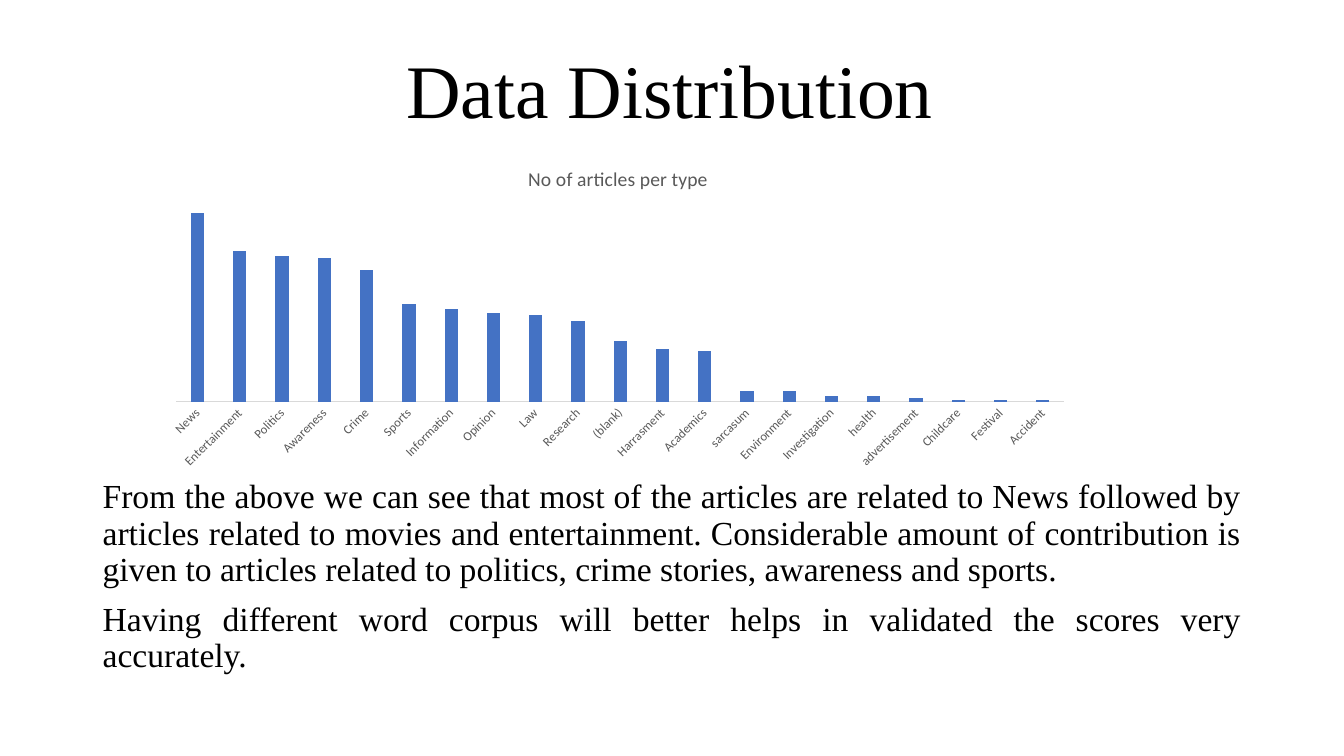
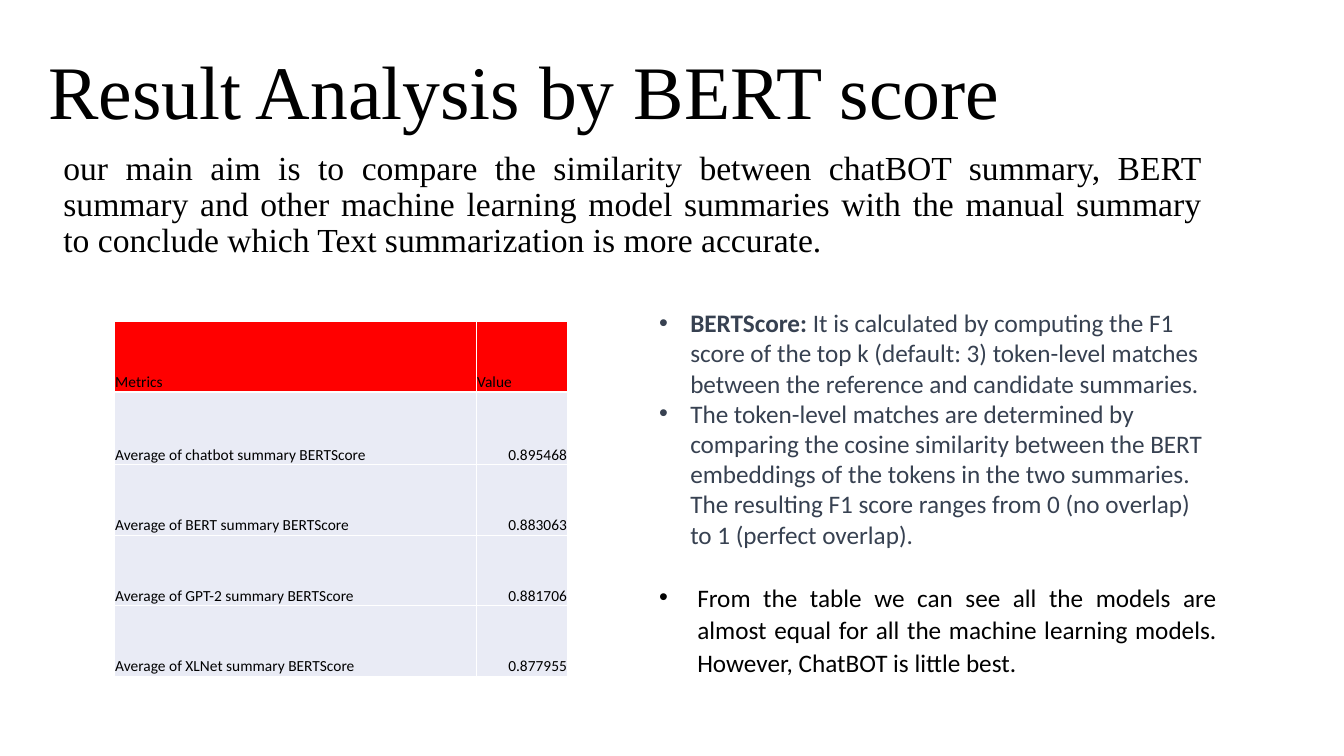
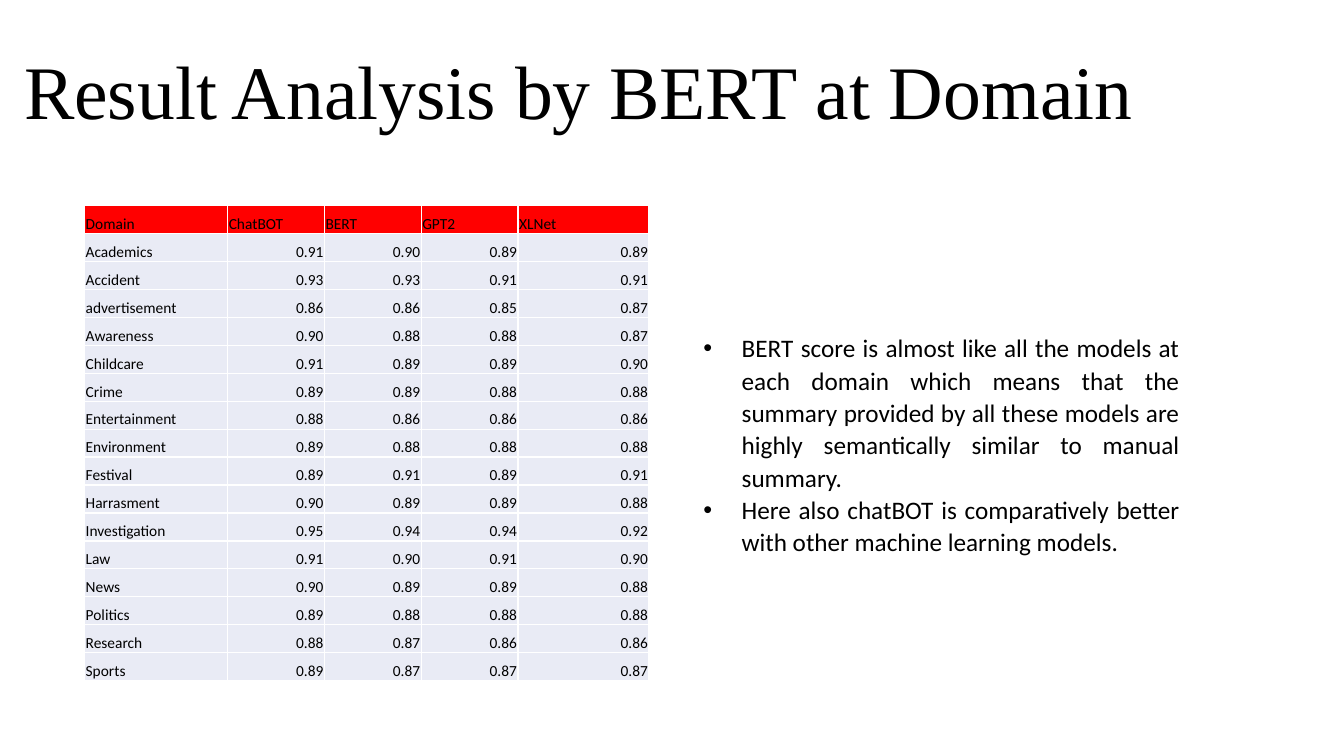
import lxml.etree
import pptx
import pptx.chart.data
import pptx.dml.color
import pptx.enum.chart
import pptx.enum.text
import pptx.oxml.ns
import pptx.util

WIDTH, HEIGHT = pptx.util.Inches(13.333), pptx.util.Inches(7.5)
ALIGN = pptx.enum.text.PP_ALIGN
qn = pptx.oxml.ns.qn

BLACK, SLATE, GREY, PALE_GREY = "000000", "374151", "595959", "D9D9D9"
RED, PALE_BLUE, BLUE, WHITE = "FF0000", "E9EBF5", "4472C4", "FFFFFF"

TITLE_FONT = {"name": "Times New Roman", "size": pptx.util.Pt(54)}
BODY_FONT = {"name": "Times New Roman", "size": pptx.util.Pt(24)}
LIST_FONT = {"name": "Calibri", "size": pptx.util.Pt(18)}
CELL_FONT = {"name": "Calibri", "size": pptx.util.Pt(11)}
CHART_FONT = {"name": "Calibri", "size": pptx.util.Pt(14), "bold": False}
AXIS_FONT = {"name": "Calibri", "size": pptx.util.Pt(9)}

TITLE_PARA = {"line_spacing": 0.9, "space_before": pptx.util.Pt(10)}
BODY_PARA = {**TITLE_PARA, "alignment": ALIGN.JUSTIFY}
LIST_PARA = {"alignment": ALIGN.JUSTIFY, "line_spacing": 1.07}

ARTICLES = {
    "News": 100, "Entertainment": 80, "Politics": 77, "Awareness": 76,
    "Crime": 70, "Sports": 52, "Information": 49, "Opinion": 47, "Law": 46,
    "Research": 43, "(blank)": 32, "Harrasment": 28, "Academics": 27,
    "sarcasum": 6, "Environment": 6, "Investigation": 3, "health": 3,
    "advertisement": 2, "Childcare": 1, "Festival": 1, "Accident": 1,
}
AVERAGES = [
    ("Metrics", "Value"),
    ("Average of chatbot summary BERTScore", "0.895468"),
    ("Average of BERT summary BERTScore", "0.883063"),
    ("Average of GPT-2 summary BERTScore", "0.881706"),
    ("Average of XLNet summary BERTScore", "0.877955"),
]
DOMAINS = [
    ("Domain", "ChatBOT", "BERT", "GPT2", "XLNet"),
    ("Academics", "0.91", "0.90", "0.89", "0.89"),
    ("Accident", "0.93", "0.93", "0.91", "0.91"),
    ("advertisement", "0.86", "0.86", "0.85", "0.87"),
    ("Awareness", "0.90", "0.88", "0.88", "0.87"),
    ("Childcare", "0.91", "0.89", "0.89", "0.90"),
    ("Crime", "0.89", "0.89", "0.88", "0.88"),
    ("Entertainment", "0.88", "0.86", "0.86", "0.86"),
    ("Environment", "0.89", "0.88", "0.88", "0.88"),
    ("Festival", "0.89", "0.91", "0.89", "0.91"),
    ("Harrasment", "0.90", "0.89", "0.89", "0.88"),
    ("Investigation", "0.95", "0.94", "0.94", "0.92"),
    ("Law", "0.91", "0.90", "0.91", "0.90"),
    ("News", "0.90", "0.89", "0.89", "0.88"),
    ("Politics", "0.89", "0.88", "0.88", "0.88"),
    ("Research", "0.88", "0.87", "0.86", "0.86"),
    ("Sports", "0.89", "0.87", "0.87", "0.87"),
]


def across(percent):
    return round(WIDTH * percent / 100)


def down(percent):
    return round(HEIGHT * percent / 100)


def place(left, top, width, height):
    """Turn percentages of the slide's size into lengths."""
    return across(left), down(top), across(width), down(height)


def color(value):
    return pptx.dml.color.RGBColor.from_string(value)


def apply_format(target, values):
    for name, value in values.items():
        setattr(target, name, value)


def style_font(font, values, shade=BLACK):
    apply_format(font, values)
    font.color.rgb = color(shade)


def add_span(para, text, font, shade=BLACK, bold=False):
    span = para.add_run()
    span.text = text
    style_font(span.font, {**font, "bold": bold}, shade)


def add_box(page, area):
    box = page.shapes.add_textbox(*place(*area))
    box.text_frame.word_wrap = True
    return box.text_frame


def add_para(frame, values):
    """Use the frame's first paragraph while it is empty, then add more."""
    first = frame.paragraphs[0]
    para = frame.add_paragraph() if first.runs else first
    apply_format(para, values)
    return para


def add_title(page, text, area):
    add_span(add_para(add_box(page, area), TITLE_PARA), text, TITLE_FONT)


def add_body(page, texts, area):
    frame = add_box(page, area)
    for text in texts:
        add_span(add_para(frame, BODY_PARA), text, BODY_FONT)


def add_list_box(page, area):
    frame = add_box(page, area)
    frame.auto_size = pptx.enum.text.MSO_AUTO_SIZE.SHAPE_TO_FIT_TEXT
    return frame


def add_bullet(frame, spans, values, indent=0.38, shade=BLACK):
    """Add a bulleted paragraph from (text, bold) pairs."""
    para = add_para(frame, values)
    for text, bold in spans:
        add_span(para, text, LIST_FONT, shade, bold)
    properties = para._p.get_or_add_pPr()
    hang = pptx.util.Inches(indent)
    properties.set("marL", str(hang))
    properties.set("indent", str(-hang))
    lxml.etree.SubElement(properties, qn("a:buFont"), typeface="Arial")
    lxml.etree.SubElement(properties, qn("a:buChar"), char="•")


def add_borders(cell):
    properties = cell._tc.get_or_add_tcPr()
    for index, side in enumerate(("a:lnL", "a:lnR", "a:lnT", "a:lnB")):
        line = lxml.etree.Element(qn(side), w=str(pptx.util.Pt(1)))
        fill = lxml.etree.SubElement(line, qn("a:solidFill"))
        lxml.etree.SubElement(fill, qn("a:srgbClr"), val=WHITE)
        properties.insert(index, line)


def fill_cell(cell, text, is_header, is_number):
    inset = pptx.util.Inches(0.01)
    apply_format(cell, {
        "margin_left": inset, "margin_right": inset, "margin_top": inset,
        "margin_bottom": 0,
        "vertical_anchor": pptx.enum.text.MSO_ANCHOR.BOTTOM,
    })
    cell.fill.solid()
    cell.fill.fore_color.rgb = color(RED if is_header else PALE_BLUE)
    add_borders(cell)
    para = cell.text_frame.paragraphs[0]
    para.alignment = ALIGN.RIGHT if is_number else ALIGN.LEFT
    add_span(para, text, CELL_FONT)


def add_score_table(page, records, left, top, widths, heights):
    area = place(left, top, sum(widths), sum(heights))
    table = page.shapes.add_table(len(records), len(widths), *area).table
    apply_format(table, {"first_row": False, "horz_banding": False})
    for column, width in zip(table.columns, widths):
        column.width = across(width)
    for row, height in zip(table.rows, heights):
        row.height = down(height)
    for row, record in enumerate(records):
        for column, text in enumerate(record):
            fill_cell(table.cell(row, column), text, row == 0,
                      row > 0 and column > 0)


def set_layout(element, index, **shares):
    """Place a chart part by shares of the chart's size."""
    for old in element.findall(qn("c:layout")):
        element.remove(old)
    layout = lxml.etree.Element(qn("c:layout"))
    manual = lxml.etree.SubElement(layout, qn("c:manualLayout"))
    if "w" in shares:
        lxml.etree.SubElement(manual, qn("c:layoutTarget"), val="inner")
    for axis in ("x", "y"):
        lxml.etree.SubElement(manual, qn(f"c:{axis}Mode"), val="edge")
    for name, share in shares.items():
        lxml.etree.SubElement(manual, qn(f"c:{name}"), val=str(share))
    element.insert(index, layout)


def add_article_chart(page, title, counts, area):
    data = pptx.chart.data.CategoryChartData()
    data.categories = list(counts)
    data.add_series("Series 1", list(counts.values()))
    kind = pptx.enum.chart.XL_CHART_TYPE.COLUMN_CLUSTERED
    chart = page.shapes.add_chart(kind, *place(*area), data).chart
    style_font(chart.font, {"name": "Calibri", "size": pptx.util.Pt(10)})
    apply_format(chart, {"has_legend": False, "has_title": True})
    add_span(chart.chart_title.text_frame.paragraphs[0], title,
             CHART_FONT, GREY)
    set_layout(chart.chart_title._element, 1, x=0.4, y=0.05)
    set_layout(chart._chartSpace.chart.plotArea, 0,
               x=0.025, y=0.205, w=0.956, h=0.572)

    plot = chart.plots[0]
    apply_format(plot, {"gap_width": 219, "overlap": -27,
                        "vary_by_categories": False})
    bars = plot.series[0].format.fill
    bars.solid()
    bars.fore_color.rgb = color(BLUE)

    apply_format(chart.value_axis, {
        "minimum_scale": 0, "maximum_scale": 100,
        "has_major_gridlines": False, "visible": False,
    })
    axis = chart.category_axis
    axis.major_tick_mark = pptx.enum.chart.XL_TICK_MARK.NONE
    axis.format.line.color.rgb = color(PALE_GREY)
    axis.format.line.width = pptx.util.Pt(0.75)
    style_font(axis.tick_labels.font, AXIS_FONT, GREY)
    labels = axis._element.find(qn("c:txPr")).find(qn("a:bodyPr"))
    labels.set("rot", str(-45 * 60000))
    labels.set("vert", "horz")


def add_distribution(page):
    add_title(page, "Data Distribution", (29.48, 6.4, 70.5, 12.8))
    add_body(page, [
        "From the above we can see that most of the articles are related to "
        "News followed by articles related to movies and entertainment. "
        "Considerable amount of contribution is given to articles related to "
        "politics, crime stories, awareness and sports.",
        "Having different word corpus will better helps in validated the "
        "scores very accurately.",
    ], (6.9, 62.8, 86.18, 37.2))
    add_article_chart(page, "No of articles per type", ARTICLES,
                      (11.4, 19.2, 69.08, 43.73))


def add_score_analysis(page):
    add_title(page, "Result Analysis by BERT score",
              (2.85, 6.53, 74.55, 20.53))
    add_body(page, [
        "our main aim is to compare the similarity between chatBOT summary, "
        "BERT summary and other machine learning model summaries with the "
        "manual summary to conclude which Text summarization is more "
        "accurate.",
    ], (3.98, 19.33, 86.18, 74.13))
    add_score_table(page, AVERAGES, 8.5, 42.53, [26.93, 6.83],
                    [9.33, 9.6, 9.33, 9.33, 9.33])
    frame = add_list_box(page, (48.3, 40, 42.98, 50.53))
    definitions = [
        [("BERTScore: ", True),
         ("It is calculated by computing the F1 score of the top k "
          "(default: 3) token-level matches between the reference and "
          "candidate summaries.", False)],
        [("The token-level matches are determined by comparing the cosine "
          "similarity between the BERT embeddings of the tokens in the two "
          "summaries. The resulting F1 score ranges from 0 (no overlap) to 1 "
          "(perfect overlap).", False)],
    ]
    for spans in definitions:
        add_bullet(frame, spans, {}, 0.31, SLATE)
    add_bullet(frame, [
        ("From the table we can see all the models are almost equal for all "
         "the machine learning models. However, ChatBOT is little best.",
         False),
    ], {**LIST_PARA, "space_before": pptx.util.Pt(22)})


def add_domain_analysis(page):
    add_title(page, "Result Analysis by BERT at Domain",
              (1.05, 6.53, 90.75, 13.2))
    frame = add_list_box(page, (51.6, 43.07, 36.9, 35.6))
    findings = [
        "BERT score is almost like all the models at each domain which means "
        "that the summary provided by all these models are highly "
        "semantically similar to manual summary.",
        "Here also chatBOT is comparatively better with other machine "
        "learning models.",
    ]
    for finding in findings:
        add_bullet(frame, [(finding, False)], LIST_PARA)
    add_score_table(page, DOMAINS, 6.3, 27.2, [10.65, 7.2, 7.2, 7.2, 9.75],
                    [3.7] * len(DOMAINS))


def main():
    deck = pptx.Presentation()
    apply_format(deck, {"slide_width": WIDTH, "slide_height": HEIGHT})
    for build in (add_distribution, add_score_analysis, add_domain_analysis):
        build(deck.slides.add_slide(deck.slide_layouts[6]))
    deck.save("out.pptx")


if __name__ == "__main__":
    main()
